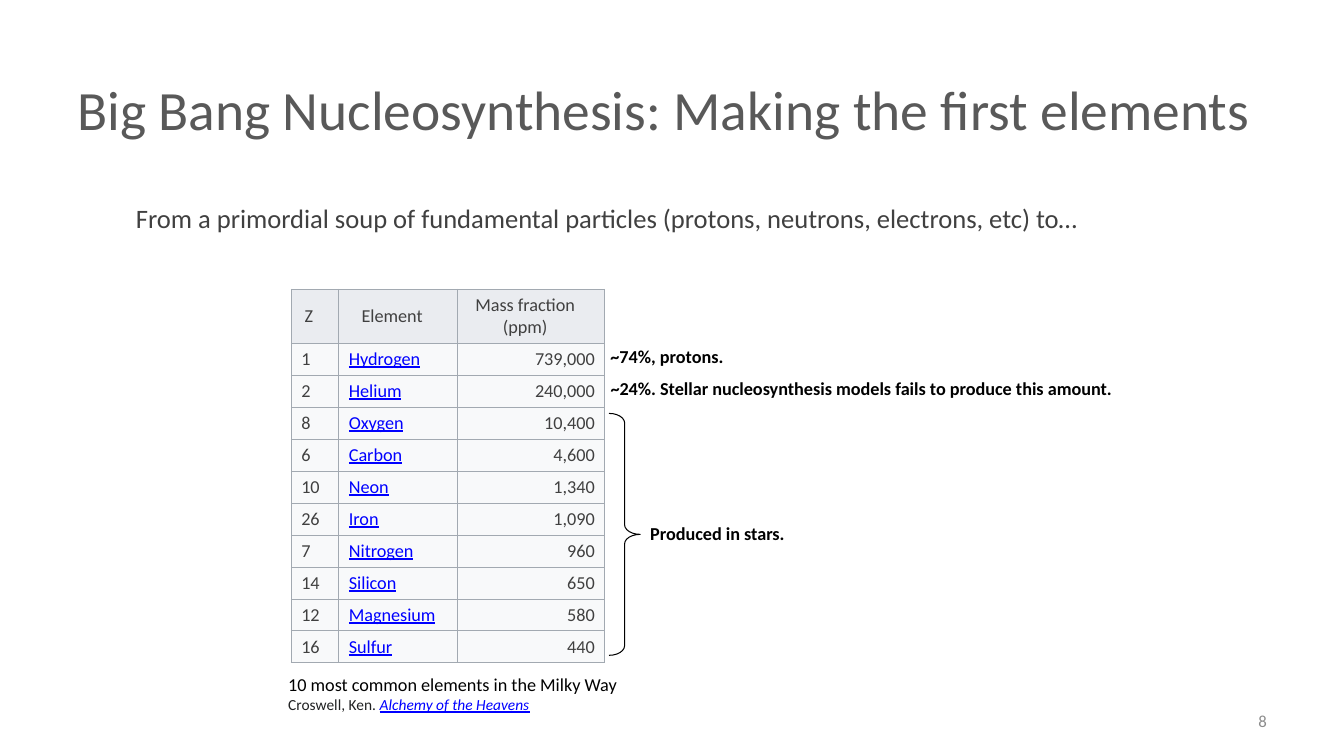
from lxml.etree import SubElement
from pptx import Presentation
from pptx.dml.color import RGBColor
from pptx.enum.shapes import MSO_SHAPE as SHAPE
from pptx.enum.text import MSO_ANCHOR as ANCHOR, PP_ALIGN as ALIGN
from pptx.oxml.ns import qn
from pptx.util import Pt

GREY, LINK, BLACK = "404040", "0000FF", "000000"
HEADER_H, ROW_H = 38, 22.86
COLUMNS = (34, 85, 105)
HEADINGS = ("Z", "Element", "Mass fraction (ppm)")
ELEMENTS = [
    ("1", "Hydrogen", "739,000"),
    ("2", "Helium", "240,000"),
    ("8", "Oxygen", "10,400"),
    ("6", "Carbon", "4,600"),
    ("10", "Neon", "1,340"),
    ("26", "Iron", "1,090"),
    ("7", "Nitrogen", "960"),
    ("14", "Silicon", "650"),
    ("12", "Magnesium", "580"),
    ("16", "Sulfur", "440"),
]


def color(value):
    """Turn a hex string into a colour."""
    return RGBColor.from_string(value)


def write(p, text, size=13, fill=BLACK, bold=False, italic=False, underline=False, align=ALIGN.LEFT):
    """Add a formatted run to a paragraph."""
    p.alignment = align
    r = p.add_run()
    r.text = text
    font = r.font
    font.name, font.size = "Calibri", Pt(size)
    font.bold, font.italic, font.underline = bold, italic, underline
    font.color.rgb = color(fill)


def add_box(s, x, y, w, h, text, anchor=ANCHOR.TOP, **fmt):
    """Add a wrapping text box and return its text frame."""
    tf = s.shapes.add_textbox(Pt(x), Pt(y), Pt(w), Pt(h)).text_frame
    tf.word_wrap = True
    tf.vertical_anchor = anchor
    write(tf.paragraphs[0], text, **fmt)
    return tf


def add_title(s, x, y, w, h, text):
    """Place and fill the title placeholder."""
    title = s.shapes.title
    title.left, title.top, title.width, title.height = Pt(x), Pt(y), Pt(w), Pt(h)
    title.text_frame.vertical_anchor = ANCHOR.MIDDLE
    write(title.text_frame.paragraphs[0], text, size=39.6, fill="595959")


def set_borders(cell):
    """Draw a thin grey line on all four sides of a cell."""
    tc_pr = cell._tc.get_or_add_tcPr()
    for i, side in enumerate(("a:lnL", "a:lnR", "a:lnT", "a:lnB")):
        line = tc_pr.makeelement(qn(side), {"w": str(Pt(0.75))})
        fill = SubElement(line, qn("a:solidFill"))
        SubElement(fill, qn("a:srgbClr"), val="A2A9B1")
        tc_pr.insert(i, line)


def fill_cell(cell, text, background, **fmt):
    """Fill, border and write one table cell."""
    cell.fill.solid()
    cell.fill.fore_color.rgb = color(background)
    cell.vertical_anchor = ANCHOR.MIDDLE
    set_borders(cell)
    write(cell.text_frame.paragraphs[0], text, **fmt)


def add_element_table(s, x, y):
    """Add the table of element abundances."""
    height = HEADER_H + ROW_H * len(ELEMENTS)
    frame = s.shapes.add_table(len(ELEMENTS) + 1, len(COLUMNS), Pt(x), Pt(y), Pt(sum(COLUMNS)), Pt(height))
    table = frame.table
    table.first_row = table.horz_banding = False
    for column, width in zip(table.columns, COLUMNS):
        column.width = Pt(width)
    for i, row in enumerate(table.rows):
        row.height = Pt(ROW_H if i else HEADER_H)
    for cell, heading in zip(table.rows[0].cells, HEADINGS):
        cell.margin_right = Pt(16)
        fill_cell(cell, heading, "EAECF0", fill=GREY, align=ALIGN.CENTER)
    formats = (
        {"fill": GREY},
        {"fill": LINK, "underline": True},
        {"fill": GREY, "align": ALIGN.RIGHT},
    )
    for i, values in enumerate(ELEMENTS, 1):
        for j, value in enumerate(values):
            fill_cell(table.cell(i, j), value, "F8F9FA", **formats[j])


def add_annotations(s, x, y):
    """Add the remarks and the brace to the right of the table."""
    first_row = y + HEADER_H
    remarks = (
        ("~74%, protons.", 224),
        ("~24%. Stellar nucleosynthesis models fails to produce this amount.", 433),
    )
    for i, (text, width) in enumerate(remarks):
        add_box(s, x - 3, first_row - 1.2 + i * ROW_H, width, 23, text, bold=True)
    brace_top, brace_h = first_row + 2 * ROW_H + 5, 172.8
    brace = s.shapes.add_shape(SHAPE.RIGHT_BRACE, Pt(x + 3), Pt(brace_top), Pt(22.3), Pt(brace_h))
    brace.adjustments[0], brace.adjustments[1] = 0.306, 0.5
    brace.shadow.inherit = False
    brace.fill.background()
    brace.line.color.rgb = color(BLACK)
    brace.line.width = Pt(0.75)
    add_box(s, x + 25.3, brace_top + brace_h / 2 - 12.2, 433, 23, "Produced in stars.", bold=True)


def add_caption(s, x, y, w, h):
    """Add the table caption with its source."""
    tf = add_box(s, x, y, w, h, "10 most common elements in the Milky Way")
    source = tf.add_paragraph()
    write(source, "Croswell, Ken.\u00a0".replace("\u00a0", " "), size=11, fill="202122")
    write(source, "Alchemy of the Heavens", size=11, fill=LINK, italic=True, underline=True)


def build_slide(prs):
    """Build the nucleosynthesis slide."""
    s = prs.slides.add_slide(prs.slide_layouts[5])
    add_title(s, 48, 32.4, 864, 90, "Big Bang Nucleosynthesis: Making the first elements")
    add_box(s, 688, 500.4, 224, 28.8, "8", anchor=ANCHOR.MIDDLE, size=12, fill="8C8C8C", align=ALIGN.RIGHT)
    intro = "From a primordial soup of fundamental particles (protons, neutrons, electrons, etc) to…"
    add_box(s, 90, 141, 747, 30, intro, size=19, fill=GREY)
    x, y = 208, 206.6
    add_element_table(s, x, y)
    add_annotations(s, x + sum(COLUMNS), y)
    add_caption(s, x - 9.2, y + 270.8, 340, 36)


def main():
    """Create and save the presentation."""
    prs = Presentation()
    prs.slide_width, prs.slide_height = Pt(960), Pt(540)
    build_slide(prs)
    prs.save("out.pptx")


if __name__ == "__main__":
    main()
